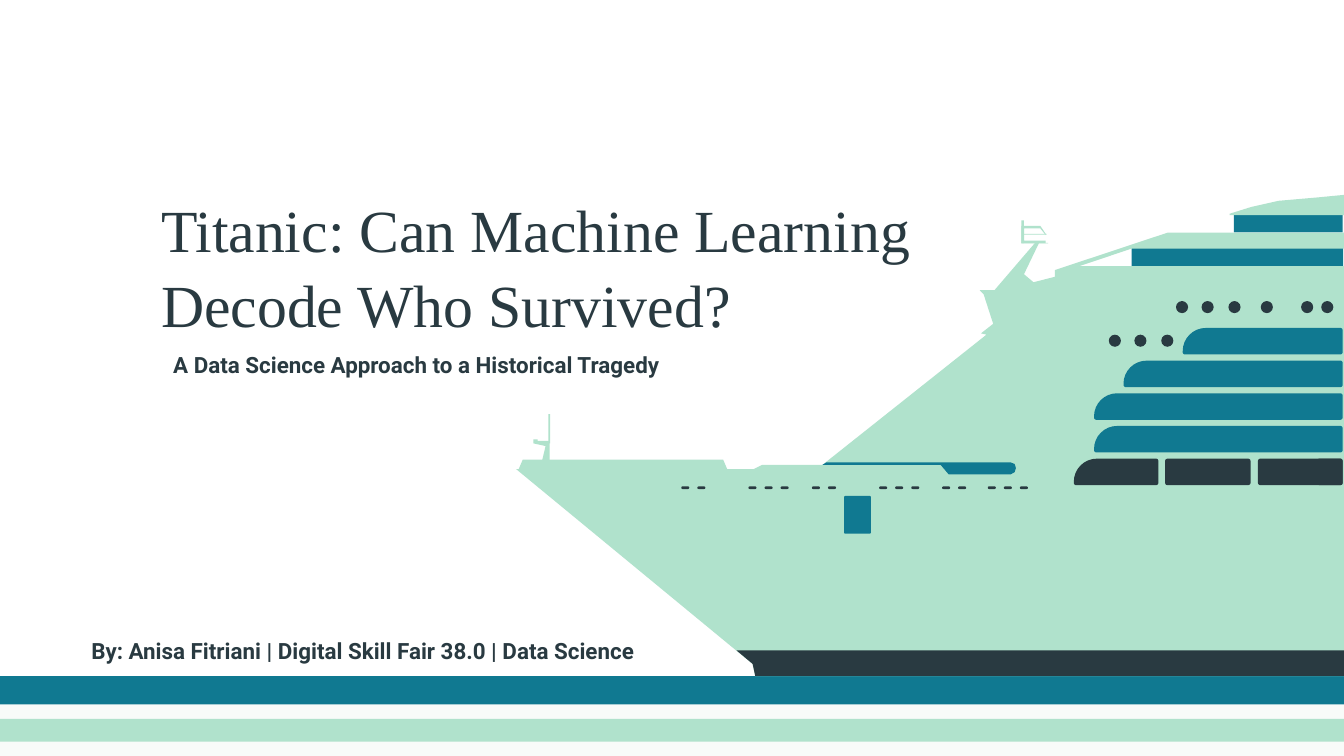
from math import cos, pi, sin

from pptx import Presentation
from pptx.dml.color import RGBColor
from pptx.enum.shapes import MSO_SHAPE
from pptx.enum.text import MSO_ANCHOR
from pptx.util import Pt

FOAM = RGBColor(0xF8, 0xFB, 0xF9)
TEAL = RGBColor(0x10, 0x79, 0x91)
MINT = RGBColor(0xB0, 0xE2, 0xCC)
DARK = RGBColor(0x29, 0x3A, 0x41)

SLIDE_WIDTH, SLIDE_HEIGHT = 720, 405
WATERLINE = 362.2
SHIP_RIGHT = 719.3
WINDOW_HEIGHT = 14.2
WINDOW_TOPS = [175.7 + 17.5 * row for row in range(5)]
BOW_WINDOW_LEFTS = [633.6, 601.9, 586.1, 586.1]

HULL = [
    (720, 104.4), (720, WATERLINE), (404.6, WATERLINE), (403.2, 355.7),
    (276.5, 251.3), (403.9, 251.3), (408.2, 249.1), (440.6, 249.1),
    (528.5, 179.3), (525.6, 178.6), (532.1, 173.5), (527, 157.7),
    (524.9, 155.5), (532.8, 155.5), (554.4, 130.3), (556.6, 130.3),
    (548.6, 146.9), (553.7, 151.2), (565.2, 148.3), (565.2, 144.7),
    (625.7, 124.6), (720, 124.6), (720, 115.2), (658.8, 115.2),
    (658.8, 114.5), (670.3, 110.9), (685, 107.6), (705.6, 105.8),
]
BRIDGE_OPENING = [(606.2, 133.2), (578.2, 142.6), (720, 142.6), (720, 133.2)]
KEEL = [(720, 348.5), (720, WATERLINE), (404.6, WATERLINE),
        (403.2, 355.7), (394.6, 348.5)]
BOW_RAIL = [(387.4, 246.2), (390.2, 252.7), (277.9, 251.3), (280.1, 246.2)]
LOOKOUT = [(557.3, 121), (560.2, 125.3), (560.2, 126), (557.3, 122.4),
           (548.6, 122.4), (548.6, 128.9), (560.2, 128.9), (560.2, 130.3),
           (547.2, 130.3), (547.2, 121)]
BOW_CRANE = [(288, 235.4), (288, 236.2), (294.5, 236.2), (294.5, 247.7),
             (290.2, 247.7), (292.3, 239), (285.8, 237.6), (285.8, 235.4)]

UPPER_PORTHOLES = [707.8, 697, 675.4, 658.1, 643.7, 630]
LOWER_PORTHOLES = [622.1, 607.7, 594]
SLOT_GROUPS = [(365, 2), (401, 3), (435, 2), (471, 3), (504.7, 2), (529.2, 3)]
SLOT_STEP = 8.6


def paint(shape, color):
    shape.shadow.inherit = False
    shape.fill.solid()
    shape.fill.fore_color.rgb = color
    shape.line.fill.background()


def add_preset(shapes, kind, left, top, width, height, color):
    shape = shapes.add_shape(kind, Pt(left), Pt(top), Pt(width), Pt(height))
    paint(shape, color)
    return shape


def add_block(shapes, left, top, width, height, color):
    add_preset(shapes, MSO_SHAPE.RECTANGLE, left, top, width, height, color)


def add_pill(shapes, left, top, width, height, color, roundness):
    pill = add_preset(shapes, MSO_SHAPE.ROUNDED_RECTANGLE,
                      left, top, width, height, color)
    pill.adjustments[0] = roundness


def add_outline(shapes, color, *contours):
    """Draw closed contours as one shape; a second contour cuts a hole."""
    builder = None
    for contour in contours:
        points = [(Pt(x), Pt(y)) for x, y in contour]
        if builder is None:
            builder = shapes.build_freeform(*points[0])
        else:
            builder.move_to(*points[0])
        builder.add_line_segments(points[1:], close=True)
    paint(builder.convert_to_shape(), color)


def add_bow_window(shapes, left, top, right, color):
    """Draw a window with a wide curve at its top left corner."""
    bottom, wide, small = top + WINDOW_HEIGHT, 12.4, 1.3
    corners = [
        (left + wide, top + wide, wide, pi),
        (right - small, top + small, small, 1.5 * pi),
        (right - small, bottom - small, small, 0),
        (left + small, bottom - small, small, 0.5 * pi),
    ]
    points = [
        (x + radius * cos(start + step * pi / 16),
         y + radius * sin(start + step * pi / 16))
        for x, y, radius, start in corners for step in range(9)
    ]
    add_outline(shapes, color, points)


def add_label(slide, text, left, top, width, height, font_name, size, bold=False):
    box = slide.shapes.add_textbox(Pt(left), Pt(top), Pt(width), Pt(height))
    frame = box.text_frame
    frame.word_wrap = True
    frame.vertical_anchor = MSO_ANCHOR.TOP
    frame.margin_left = frame.margin_right = Pt(7.2)
    frame.margin_top = frame.margin_bottom = Pt(7.2)
    paragraph = frame.paragraphs[0]
    paragraph.text = text
    paragraph.font.name = font_name
    paragraph.font.size = Pt(size)
    paragraph.font.bold = bold
    paragraph.font.color.rgb = DARK
    return paragraph


def add_water(shapes):
    for top, height, color in [(WATERLINE, SLIDE_HEIGHT - WATERLINE, FOAM),
                               (WATERLINE, 15.1, TEAL), (385.2, 12.2, MINT)]:
        add_block(shapes, 0, top, SLIDE_WIDTH, height, color)


def add_windows(shapes):
    for left, top in zip(BOW_WINDOW_LEFTS, WINDOW_TOPS):
        add_bow_window(shapes, left, top, SHIP_RIGHT, TEAL)
    lowest = WINDOW_TOPS[-1]
    for left, width in [(705.6, 13.7), (673.9, 45.4), (624.2, 45.8)]:
        add_pill(shapes, left, lowest, width, WINDOW_HEIGHT, DARK, 0.09)
    add_bow_window(shapes, 575.3, lowest, 620.6, DARK)


def add_portholes(shapes):
    for top, lefts in [(161.3, UPPER_PORTHOLES), (179.3, LOWER_PORTHOLES)]:
        for left in lefts:
            add_preset(shapes, MSO_SHAPE.OVAL, left, top, 6.5, 6.5, DARK)


def add_slots(shapes):
    for first, count in SLOT_GROUPS:
        for index in range(count):
            add_pill(shapes, first + SLOT_STEP * index, 260.6, 4.3, 1.4, DARK, 0.5)


def add_side_openings(shapes):
    gangway = [(541.4, 247.7), (543.6, 248.6), (544.3, 250.8), (543.6, 253),
               (541.4, 254.2), (508.3, 254.2), (504, 249.1), (440.6, 249.1),
               (442.8, 247.7)]
    add_outline(shapes, TEAL, gangway)
    add_pill(shapes, 452.2, 265.7, 14.4, 20.2, TEAL, 0.05)


def add_masts(shapes):
    add_outline(shapes, MINT, BOW_RAIL)
    add_outline(shapes, MINT, LOOKOUT)
    add_outline(shapes, MINT, BOW_CRANE)
    for left, top, width, height in [
        (547.2, 118.1, 1.4, 12.2), (548.6, 125.3, 12.2, 0.5),
        (547.2, 130.1, 14.4, 0.3), (293.8, 221.8, 0.9, 15.8),
    ]:
        add_block(shapes, left, top, width, height, MINT)


def add_ship(slide):
    shapes = slide.shapes.add_group_shape().shapes
    add_block(shapes, 606.2, 132.5, 113.4, 12, TEAL)
    add_block(shapes, 661, 114.5, 58.3, 10.1, TEAL)
    add_outline(shapes, MINT, BRIDGE_OPENING, HULL)
    add_windows(shapes)
    add_portholes(shapes)
    add_side_openings(shapes)
    add_slots(shapes)
    add_masts(shapes)
    add_outline(shapes, DARK, KEEL)


def main():
    presentation = Presentation()
    presentation.slide_width = Pt(SLIDE_WIDTH)
    presentation.slide_height = Pt(SLIDE_HEIGHT)
    slide = presentation.slides.add_slide(presentation.slide_layouts[6])

    add_water(slide.shapes)
    title = add_label(slide, "Titanic: Can Machine Learning Decode Who Survived?",
                      79.2, 94.3, 424.1, 133.2, "Times New Roman", 32)
    title.line_spacing = 1.05
    add_label(slide, "A Data Science Approach to a Historical Tragedy",
              85.7, 180.7, 457.2, 33.8, "Roboto", 12, bold=True)
    add_ship(slide)
    add_label(slide, "By: Anisa Fitriani | Digital Skill Fair 38.0 | Data Science",
              41.8, 334.1, 457.2, 33.8, "Roboto", 12, bold=True)
    presentation.save("out.pptx")


if __name__ == "__main__":
    main()
